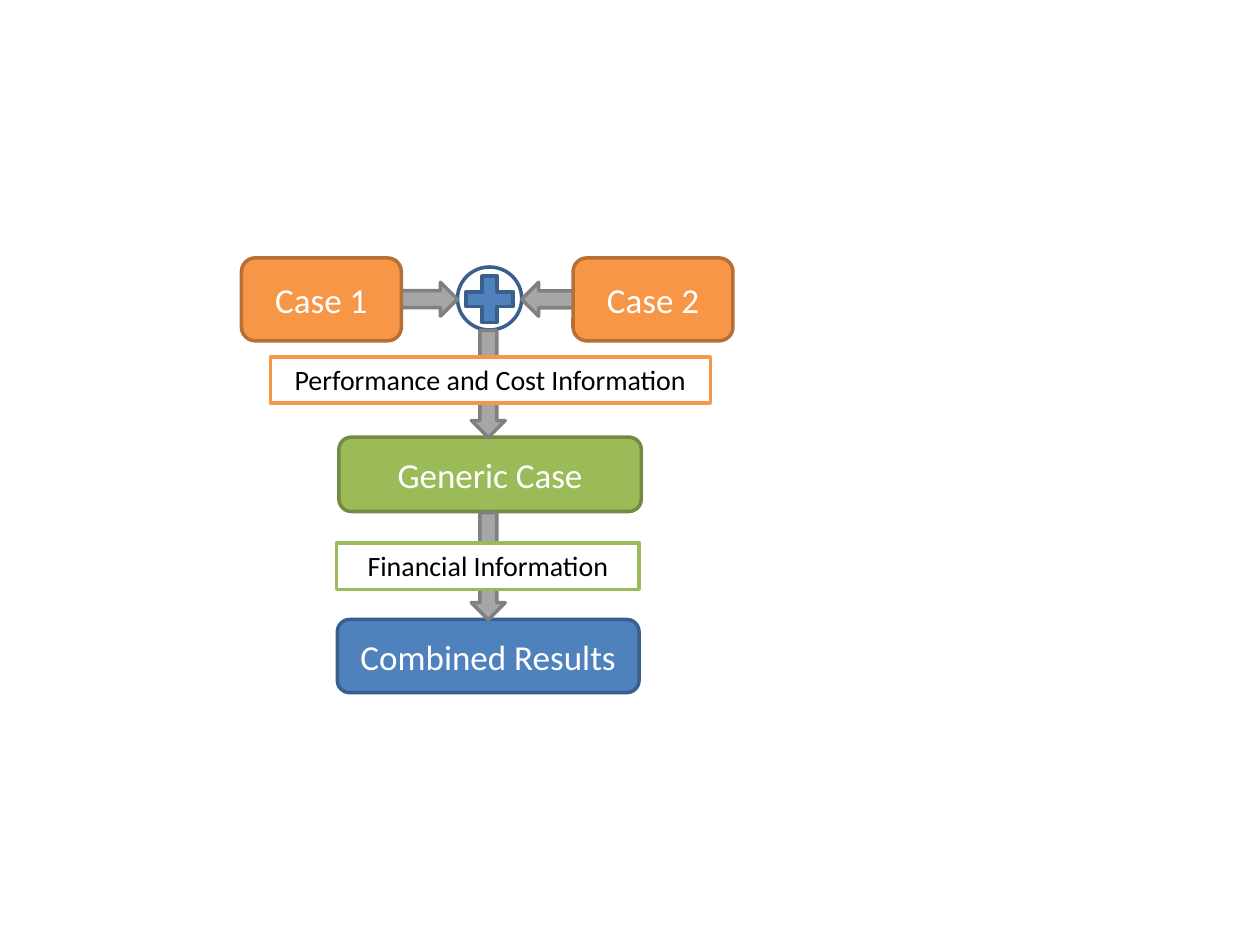
from pptx import Presentation
from pptx.dml.color import RGBColor as RGB
from pptx.enum.shapes import MSO_SHAPE as Kind
from pptx.enum.text import MSO_ANCHOR as Anchor, MSO_AUTO_SIZE as Fit, PP_ALIGN as Align
from pptx.util import Pt

WHITE = RGB(0xFF, 0xFF, 0xFF)
BLACK = RGB(0, 0, 0)
ORANGE, RUST = RGB(0xF7, 0x96, 0x46), RGB(0xB7, 0x6F, 0x34)
GREEN, OLIVE = RGB(0x9B, 0xBB, 0x59), RGB(0x73, 0x8A, 0x42)
BLUE, NAVY = RGB(0x4F, 0x81, 0xBD), RGB(0x3A, 0x5F, 0x8C)
GREY, STEEL = RGB(0xA6, 0xA6, 0xA6), RGB(0x80, 0x80, 0x80)


class Chart:
    font = "Calibri"
    weight = 2
    thick = 19.4  # arrow breadth

    def __init__(self, slide):
        self.slide = slide

    def shape(self, kind, box, fill, edge):
        shape = self.slide.shapes.add_shape(kind, *(Pt(v) for v in box))
        shape.shadow.inherit = False
        if fill is None:
            shape.fill.background()
        else:
            shape.fill.solid()
            shape.fill.fore_color.rgb = fill
        shape.line.color.rgb = edge
        shape.line.width = Pt(self.weight)
        return shape

    def words(self, shape, text, size, color, anchor):
        frame = shape.text_frame
        frame.word_wrap = True
        frame.vertical_anchor = anchor
        para = frame.paragraphs[0]
        para.alignment = Align.CENTER
        run = para.add_run()
        run.text = text
        run.font.name = self.font
        run.font.size = Pt(size)
        run.font.color.rgb = color

    def step(self, text, box, fill, edge):
        shape = self.shape(Kind.ROUNDED_RECTANGLE, box, fill, edge)
        self.words(shape, text, 20, WHITE, Anchor.MIDDLE)

    def label(self, text, box, edge):
        shape = self.shape(Kind.RECTANGLE, box, WHITE, edge)
        self.words(shape, text, 16, BLACK, Anchor.TOP)
        shape.text_frame.auto_size = Fit.SHAPE_TO_FIT_TEXT

    def arrow(self, mid_x, mid_y, length, turn=0):
        """Right arrow centred on a point, turned clockwise in degrees."""
        box = (mid_x - length / 2, mid_y - self.thick / 2, length, self.thick)
        self.shape(Kind.RIGHT_ARROW, box, GREY, STEEL).rotation = turn


def main():
    deck = Presentation()
    deck.slide_width, deck.slide_height = Pt(720), Pt(540)
    chart = Chart(deck.slides.add_slide(deck.slide_layouts[6]))
    axis, row = 279, 171  # centre lines of the flow and of the case row

    chart.step("Generic Case", (193.7, 249.8, 172.8, 42.5), GREEN, OLIVE)
    chart.step("Combined Results", (192.8, 354, 172.4, 41.8), BLUE, NAVY)
    chart.arrow(axis, 323.5, 61.2, 90)
    chart.label("Financial Information", (192.4, 310.2, 172.8, 26.6), GREEN)

    chart.shape(Kind.MATH_PLUS, (261.4, 153, 36.7, 36), BLUE, NAVY)
    chart.shape(Kind.OVAL, (261.4, 152.6, 36.7, 36), None, NAVY)
    chart.arrow(axis, 219.4, 61.2, 90)
    chart.label("Performance and Cost Information", (154.6, 203.9, 251.3, 26.6), ORANGE)

    cases = (("Case 2", 327.5, 326.2, 56.2, 180), ("Case 1", 138, 238.7, 45.4, 0))
    for text, left, mid, length, turn in cases:
        chart.arrow(mid, row, length, turn)
        chart.step(text, (left, 147.4, 91.4, 47.4), ORANGE, RUST)

    deck.save("out.pptx")


if __name__ == "__main__":
    main()
